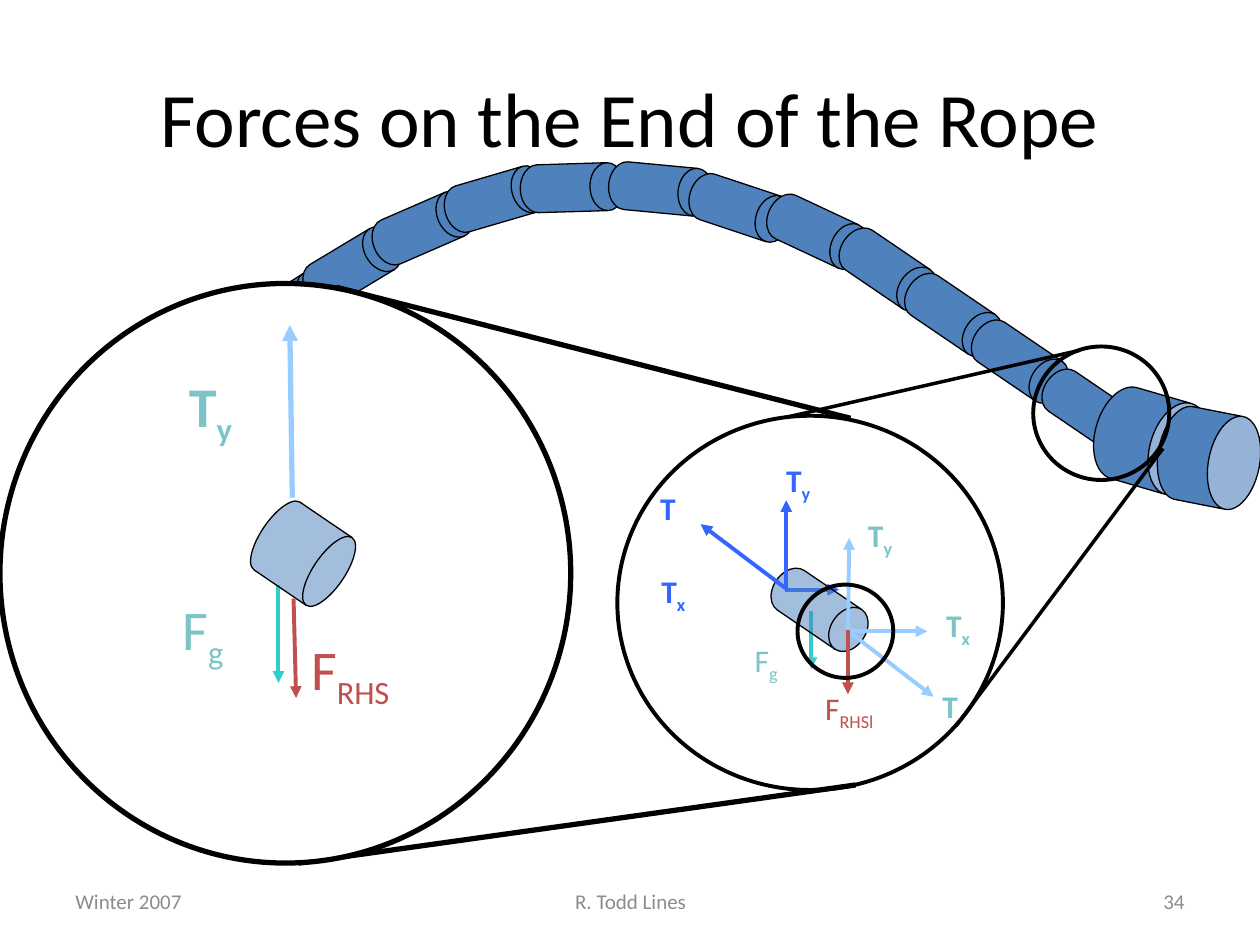
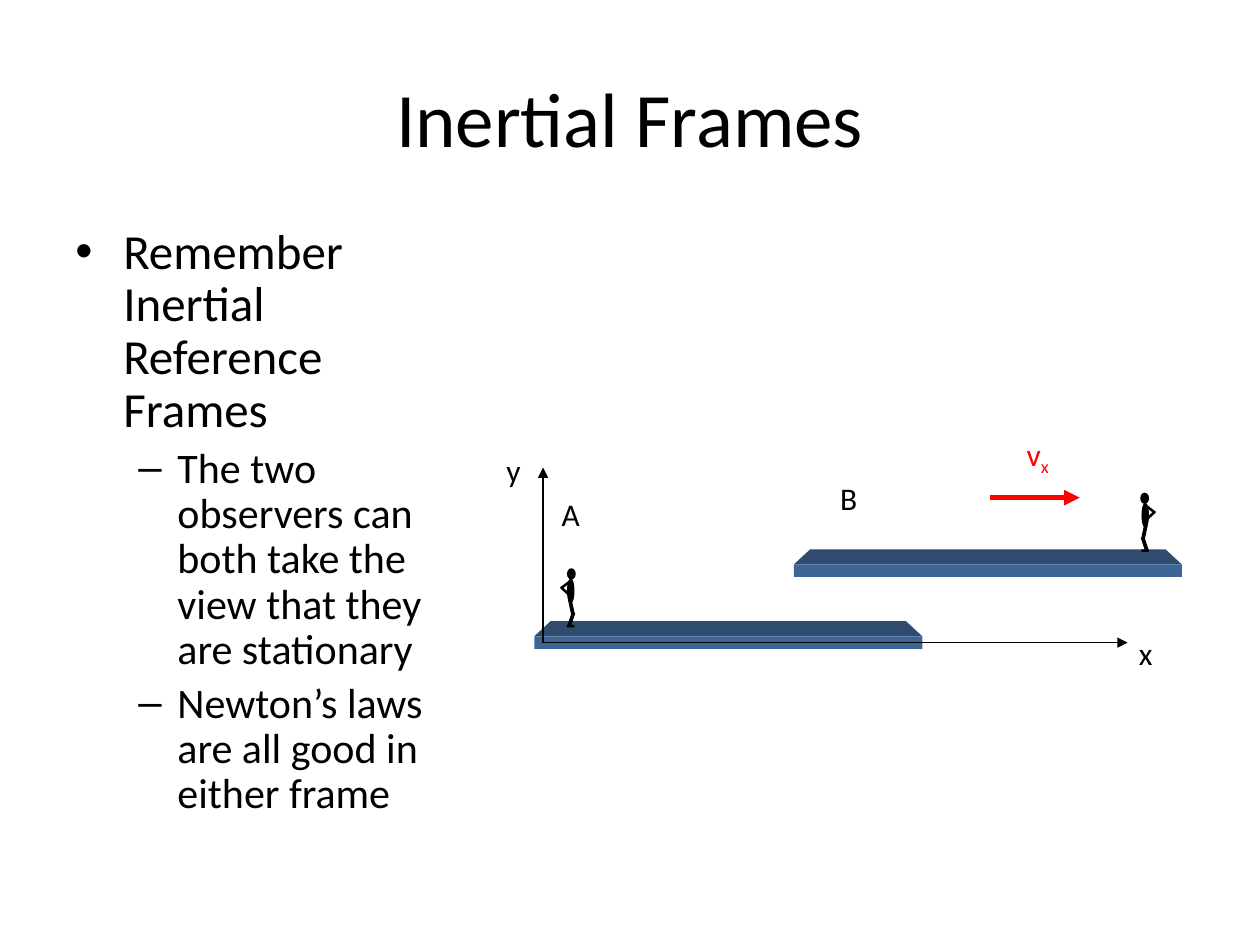
from lxml import etree
from pptx import Presentation
from pptx.dml.color import RGBColor
from pptx.enum.shapes import MSO_CONNECTOR, MSO_SHAPE
from pptx.enum.text import MSO_ANCHOR, PP_ALIGN
from pptx.oxml.ns import qn
from pptx.util import Inches, Pt

LINE = MSO_CONNECTOR.STRAIGHT
CIRCLE, RECT, CAN = MSO_SHAPE.OVAL, MSO_SHAPE.RECTANGLE, MSO_SHAPE.CAN
DRUM, TRAPEZOID = MSO_SHAPE.FLOWCHART_DIRECT_ACCESS_STORAGE, MSO_SHAPE.TRAPEZOID
LEFT, CENTER, RIGHT = PP_ALIGN.LEFT, PP_ALIGN.CENTER, PP_ALIGN.RIGHT
TOP, MIDDLE = MSO_ANCHOR.TOP, MSO_ANCHOR.MIDDLE

FONT = "Calibri"
BLACK, WHITE, GREY, RED = "000000", "FFFFFF", "8C8C8C", "FF0000"
ROPE, PULL, PULL_RIGHT = "4F81BD", "3366FF", "99CCFF"
GRAVITY, LOAD, TEAL = "33CCCC", "C0504D", "7DC4C9"
DECK_TOP, DECK_FRONT = "2F4B6E", "3C6494"

prs = Presentation()
prs.slide_width, prs.slide_height = Inches(10), Inches(7.5)
CELL = prs.slide_width / 10  # square grid: 10 columns by 7.5 rows


def draw(slide, kind, at, line=None, width=0.75, fill=None, opacity=100, turn=0, arrow=False):
    """Add a shape at (left, top, width, height) or a line at (x1, y1, x2, y2), in cells."""
    cells = [round(value * CELL) for value in at]
    if kind is LINE:
        part = slide.shapes.add_connector(kind, *cells)
    else:
        part = slide.shapes.add_shape(kind, *cells)
        part.rotation = turn
        part.shadow.inherit = False
        if fill:
            part.fill.solid()
            part.fill.fore_color.rgb = RGBColor.from_string(fill)
            if opacity < 100:
                color = part._element.spPr.find(qn("a:solidFill"))[0]
                etree.SubElement(color, qn("a:alpha"), val=str(opacity * 1000))
        else:
            part.fill.background()
    if line:
        part.line.color.rgb = RGBColor.from_string(line)
        part.line.width = Pt(width)
    else:
        part.line.fill.background()
    if arrow:
        etree.SubElement(part.line._get_or_add_ln(), qn("a:tailEnd"), type="triangle")
    if kind is LINE:
        etree.SubElement(part._element.spPr, qn("a:effectLst"))
    return part


def write(slide, at, text, size=18, color=BLACK, sub="", bold=False,
          align=LEFT, anchor=TOP, wrap=False):
    """Add one line of text, with an optional subscript after it."""
    box = slide.shapes.add_textbox(*[round(value * CELL) for value in at])
    frame = box.text_frame
    frame.word_wrap, frame.vertical_anchor = wrap, anchor
    frame.text = text
    paragraph = frame.paragraphs[0]
    paragraph.alignment = align
    if sub:
        subscript = paragraph.add_run()
        subscript.text = sub
        subscript._r.get_or_add_rPr().set("baseline", "-25000")
    for run in paragraph.runs:
        run.font.name, run.font.size, run.font.bold = FONT, Pt(size), bold
        run.font.color.rgb = RGBColor.from_string(color)


slides = []
for title in ("Forces on the End of the Rope", "Inertial Frames"):
    slide = prs.slides.add_slide(prs.slide_layouts[6])
    write(slide, (0.5, 0.3, 9, 1.25), title, 44, align=CENTER, anchor=MIDDLE, wrap=True)
    slides.append(slide)
forces, frames = slides

# Forces: footer
for left, width, text, align in (
    (0.5, 2.33, "Winter 2007", LEFT),
    (3.42, 3.17, "R. Todd Lines", CENTER),
    (7.17, 2.33, "34", RIGHT),
):
    write(forces, (left, 6.95, width, 0.4), text, 12, GREY,
          align=align, anchor=MIDDLE, wrap=True)

# Forces: rope segments as left, top, angle
for left, top, angle in (
    (0.77, 3.05, -31.6), (1.33, 2.66, -35.2), (1.86, 2.29, -32.6), (2.38, 1.93, -31),
    (2.94, 1.62, -23.5), (3.52, 1.39, -16.3), (4.13, 1.3, -1.7), (4.83, 1.31, 5.4),
    (5.46, 1.46, 18.4), (6.07, 1.65, 25.1), (6.63, 1.95, 34.2), (7.15, 2.31, 34.2),
    (7.68, 2.68, 34.2), (8.24, 3.07, 34.2),
):
    draw(forces, DRUM, (left, top, 0.83, 0.38), BLACK, fill=ROPE, turn=angle)

# Forces: middle zoom with one segment
draw(forces, LINE, (8.57, 2.78, 6.16, 3.33), BLACK, 2)
draw(forces, CIRCLE, (4.9, 3.3, 3.06, 2.97), BLACK, 2.25, WHITE)
draw(forces, LINE, (6.44, 4.85, 6.44, 5.31), GRAVITY, 2.25, arrow=True)
draw(forces, LINE, (6.23, 4.68, 6.66, 4.68), PULL, 2.25, arrow=True)
draw(forces, DRUM, (6.09, 4.65, 0.83, 0.38), BLACK, fill=ROPE, opacity=52, turn=34.2)
for ends, color in (
    ((6.24, 4.66, 6.24, 3.97), PULL),
    ((6.25, 4.68, 5.56, 4.16), PULL),
    ((6.73, 5.02, 6.74, 4.27), PULL_RIGHT),
    ((6.74, 5.01, 7.36, 5.01), PULL_RIGHT),
    ((6.72, 5, 7.41, 5.53), PULL_RIGHT),
    ((6.73, 5, 6.73, 5.51), LOAD),
):
    draw(forces, LINE, ends, color, 2.25, arrow=True)
for left, top, width, force, sub, color in (
    (5.14, 3.83, 0.35, "T", "", PULL),
    (5.15, 4.49, 0.45, "T", "x", PULL),
    (6.14, 3.61, 0.45, "T", "y", PULL),
    (7.38, 5.4, 0.35, "T", "", TEAL),
    (6.79, 4.05, 0.45, "T", "y", TEAL),
    (7.41, 4.76, 0.45, "T", "x", TEAL),
    (5.89, 5.04, 0.45, "F", "g", TEAL),
    (6.45, 5.42, 0.74, "F", "RHSl", LOAD),
):
    write(forces, (left, top, width, 0.4), force, 18, color, sub, bold=force == "T")
draw(forces, CIRCLE, (6.33, 4.64, 0.76, 0.74), BLACK, 2.25)

# Forces: large zoom with the end piece
draw(forces, LINE, (6.75, 3.32, 2.67, 2.28), BLACK, 3)
draw(forces, LINE, (6.79, 6.23, 2.37, 6.85), BLACK, 3)
draw(forces, CIRCLE, (0, 2.25, 4.53, 4.6), BLACK, 3, WHITE)
draw(forces, LINE, (2.21, 4.64, 2.21, 5.42), GRAVITY, 2.25, arrow=True)
draw(forces, DRUM, (2.03, 4.07, 0.75, 0.65), BLACK, fill=ROPE, opacity=52, turn=34.2)
draw(forces, LINE, (2.32, 3.95, 2.3, 2.58), PULL_RIGHT, 3, arrow=True)
draw(forces, LINE, (2.33, 4.75, 2.35, 5.54), LOAD, 2.25, arrow=True)
for left, top, width, force, sub, color in (
    (1.4, 2.9, 0.56, "T", "y", TEAL),
    (1.35, 4.67, 0.64, "F", "g", TEAL),
    (2.37, 4.99, 1.09, "F", "RHS", LOAD),
):
    write(forces, (left, top, width, 0.63), force, 32, color, sub, bold=force == "T")

# Forces: weight at the rope's end
for at, angle, depth in (
    ((8.76, 3.05, 0.75, 0.9), 106.2, 0.61),
    ((9.22, 3.23, 0.75, 0.81), 101.1, 0.54),
):
    weight = draw(forces, CAN, at, BLACK, fill=ROPE, turn=angle)
    weight.adjustments[0] = depth
draw(forces, CIRCLE, (8.2, 2.75, 1.08, 1.06), BLACK, 2.25)
draw(forces, LINE, (9.23, 3.56, 7.59, 5.76), BLACK, 2)

# Frames: bullets
body = frames.shapes.add_textbox(*[round(v * CELL) for v in (0.5, 1.75, 3.19, 4.95)]).text_frame
body.word_wrap = True
for number, (text, bullet, size, margin, hang) in enumerate((
    ("Remember Inertial Reference Frames", "•", 28, 0.38, 0.38),
    ("The two observers can both take the view that they are stationary", "–", 24, 0.81, 0.31),
    ("Newton’s laws are all good in either frame", "–", 24, 0.81, 0.31),
)):
    paragraph = body.add_paragraph() if number else body.paragraphs[0]
    paragraph.text = text
    paragraph.line_spacing = 0.9
    if number:
        paragraph.space_before = Pt(0.2 * size)
    properties = paragraph._p.get_or_add_pPr()
    properties.set("marL", str(round(margin * CELL)))
    properties.set("indent", str(round(-hang * CELL)))
    etree.SubElement(properties, qn("a:buFont"), typeface="Arial")
    etree.SubElement(properties, qn("a:buChar"), char=bullet)
    font = paragraph.runs[0].font
    font.name, font.size = FONT, Pt(size)
    font.color.rgb = RGBColor.from_string(BLACK)

# Frames: platforms
for left, top in ((4.24, 5.05), (6.3, 4.48)):
    deck = draw(frames, TRAPEZOID, (left, top - 0.12, 3.08, 0.12), fill=DECK_TOP)
    deck.adjustments[0] = 1.08
    draw(frames, RECT, (left, top, 3.08, 0.1), fill=DECK_FRONT)

# Frames: axes and velocity
for ends, color, width in (
    ((4.31, 5.1, 4.31, 3.71), BLACK, 0.75),
    ((4.31, 5.1, 8.95, 5.1), BLACK, 0.75),
    ((7.86, 3.95, 8.57, 3.95), RED, 3),
):
    draw(frames, LINE, ends, color, width, arrow=True)
for left, top, width, text, sub, color in (
    (3.92, 3.53, 0.33, "y", "", BLACK),
    (8.94, 4.98, 0.33, "x", "", BLACK),
    (8.05, 3.4, 0.41, "v", "x", RED),
    (4.36, 3.88, 0.37, "A", "", BLACK),
    (6.57, 3.75, 0.37, "B", "", BLACK),
):
    write(frames, (left, top, width, 0.4), text, 18, color, sub)

# Frames: observer A, and observer B as its mirror image
MIRROR_SUM, RISE = 13.62, 0.6
for kind, left, top, width, height, angle in (
    (CIRCLE, 4.5, 4.51, 0.07, 0.09, 0),
    (CIRCLE, 4.5, 4.59, 0.06, 0.2, 0),
    (RECT, 4.48, 4.59, 0.02, 0.1, 53.2),
    (RECT, 4.48, 4.65, 0.02, 0.09, -47.3),
    (RECT, 4.52, 4.76, 0.03, 0.11, -12.1),
    (RECT, 4.52, 4.86, 0.03, 0.11, 18.4),
    (RECT, 4.5, 4.96, 0.06, 0.02, 0),
):
    draw(frames, kind, (left, top, width, height), fill=BLACK, turn=angle)
    draw(frames, kind, (MIRROR_SUM - left - width, top - RISE, width, height),
         fill=BLACK, turn=-angle)

prs.save("out.pptx")
